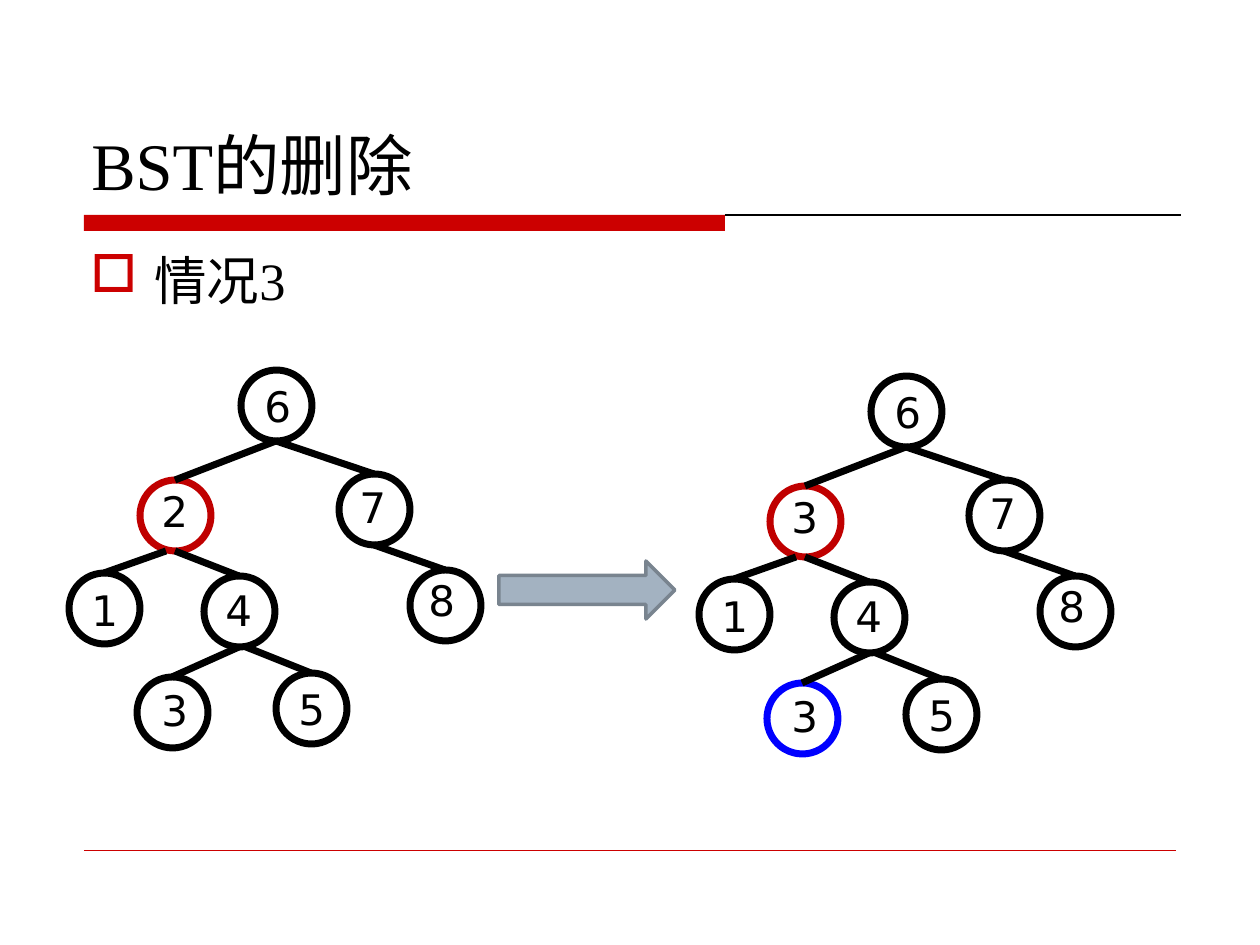
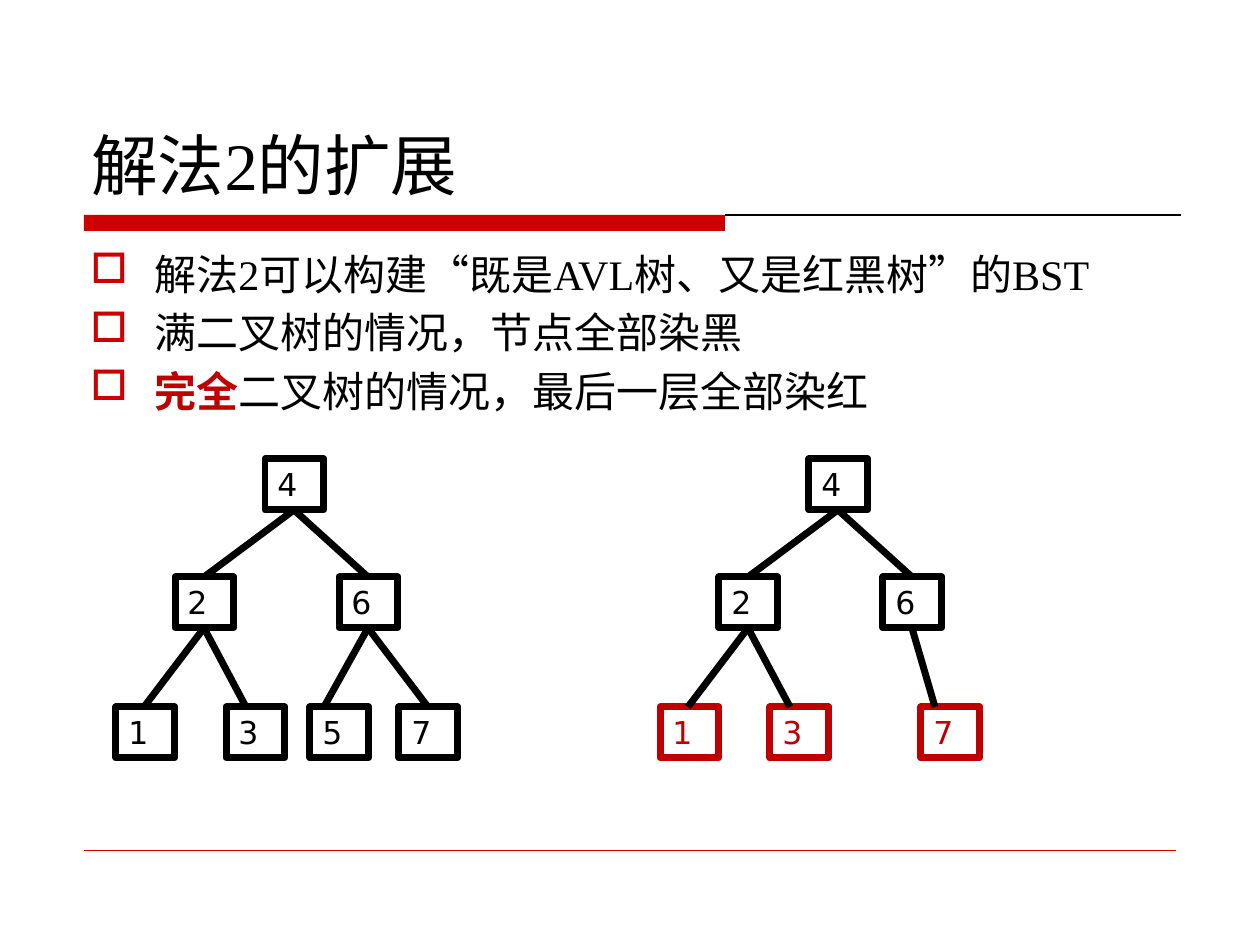
from pptx import Presentation
from pptx.dml.color import RGBColor
from pptx.enum.shapes import MSO_CONNECTOR, MSO_SHAPE
from pptx.enum.text import MSO_ANCHOR, PP_ALIGN
from pptx.oxml.ns import qn
from pptx.util import Emu, Pt
from lxml import etree

PX = 914400 // 126
BLACK = RGBColor(0x00, 0x00, 0x00)
BAND_RED = RGBColor(0xCC, 0x00, 0x00)
DARK_RED = RGBColor(0xC0, 0x00, 0x00)
BLUE = RGBColor(0x00, 0x00, 0xFF)
ARROW_FILL = RGBColor(0xA3, 0xB2, 0xC1)
ARROW_LINE = RGBColor(0x79, 0x84, 0x8F)
TEXT_FONT, NODE_FONT = "Times New Roman", "DejaVu Sans"

# Content: each bullet is a list of (text, emphasised) pieces
DELETION = {"title": "BST的删除", "size": 30, "bullets": [[("情况3", False)]]}
EXTENSION = {
    "title": "解法2的扩展",
    "size": 24,
    "bullets": [
        [("解法2可以构建“既是AVL树、又是红黑树”的BST", False)],
        [("满二叉树的情况，节点全部染黑", False)],
        [("完全", True), ("二叉树的情况，最后一层全部染红", False)],
    ],
}

# Round nodes by position in the tree: left, top, label offset x, y
CIRCLE = 71
CIRCLES = {
    "root": (241, 370, 11, 4),
    "left": (140, 480, 9, -1),
    "right": (339, 474, 8, 1),
    "left.left": (69, 573, 10, 5),
    "left.right": (204, 576, 9, 2),
    "right.right": (410, 570, 6, -2),
    "successor": (137, 677, 12, 1),
    "last": (276, 673, 10, 4),
}
# Edges: parent, child, shift of the start, shift of the end
CIRCLE_EDGES = [
    ("root", "left", 0, 0), ("root", "right", 0, 0),
    ("left", "left.left", -9, 0), ("left", "left.right", 0, 0),
    ("right", "right.right", 0, 0),
    ("left.right", "successor", 0, 0), ("left.right", "last", 7, 0),
]
KEYS_BEFORE = dict(zip(CIRCLES, "62714835"))
KEYS_AFTER = {**KEYS_BEFORE, "left": "3"}

# Square nodes: key -> left, top
BOX_WIDTH, BOX_HEIGHT = 59, 51
FULL_TREE = {"4": (265, 459), "2": (175, 577), "6": (339, 577),
             "1": (116, 707), "3": (226, 707), "5": (310, 707), "7": (399, 707)}
COMPLETE_TREE = {key: place for key, place in FULL_TREE.items() if key != "5"}
COMPLETE_TREE["7"] = (377, 707)
TOP_EDGES = [("4", "2", 0, 0), ("4", "6", 0, 0), ("2", "1", 0, -1), ("2", "3", 0, -9)]
FULL_EDGES = TOP_EDGES + [("6", "5", 0, -15), ("6", "7", 0, 0)]
COMPLETE_EDGES = TOP_EDGES + [("6", "7", 0, -15)]


def px(*lengths):
    return [Emu(length * PX) for length in lengths]


def add_line(slide, start, end, color, width):
    line = slide.shapes.add_connector(MSO_CONNECTOR.STRAIGHT, *px(*start, *end))
    line.line.color.rgb = color
    line.line.width = Pt(width)
    etree.SubElement(line._element.spPr, qn("a:effectLst"))


def add_shape(slide, kind, place, fill=None, line=None, width=0):
    shape = slide.shapes.add_shape(kind, *px(*place))
    shape.shadow.inherit = False
    if fill is None:
        shape.fill.background()
    else:
        shape.fill.solid()
        shape.fill.fore_color.rgb = fill
    if line is None:
        shape.line.fill.background()
    else:
        shape.line.color.rgb = line
        shape.line.width = Pt(width)
    return shape


def style(paragraph, font_name, size, color=BLACK):
    paragraph.alignment = PP_ALIGN.LEFT
    paragraph.font.name = font_name
    paragraph.font.size = Pt(size)
    paragraph.font.color.rgb = color


def write(shape, text, font_name, size, color=BLACK, anchor=MSO_ANCHOR.TOP):
    frame = shape.text_frame
    frame.word_wrap = True
    frame.vertical_anchor = anchor
    frame.text = text
    style(frame.paragraphs[0], font_name, size, color)


def add_square_bullet(paragraph):
    properties = paragraph._p.get_or_add_pPr()
    indent = 64 * PX
    properties.set("marL", str(indent))
    properties.set("indent", str(-indent))
    color = etree.SubElement(properties, qn("a:buClr"))
    etree.SubElement(color, qn("a:srgbClr"), val=str(BAND_RED))
    etree.SubElement(properties, qn("a:buChar"), char="□")


def add_page(presentation, content):
    slide = presentation.slides.add_slide(presentation.slide_layouts[6])
    # Title band and footer rule
    add_shape(slide, MSO_SHAPE.RECTANGLE, (84, 215, 641, 16), BAND_RED)
    add_line(slide, (725, 215), (1181, 215), BLACK, 0.75)
    add_line(slide, (84, 850), (1176, 850), BAND_RED, 0.25)
    # Title
    title = slide.shapes.add_textbox(*px(79, 42, 1102, 168))
    write(title, content["title"], TEXT_FONT, 38, anchor=MSO_ANCHOR.BOTTOM)
    # Bullets
    frame = slide.shapes.add_textbox(*px(78, 242, 1102, 588)).text_frame
    frame.word_wrap = True
    for index, pieces in enumerate(content["bullets"]):
        paragraph = frame.add_paragraph() if index else frame.paragraphs[0]
        add_square_bullet(paragraph)
        if index:
            paragraph.space_before = Pt(content["size"] * 0.2)
        style(paragraph, TEXT_FONT, content["size"])
        for text, emphasised in pieces:
            run = paragraph.add_run()
            run.text = text
            if emphasised:
                run.font.bold = True
                run.font.color.rgb = DARK_RED
    return slide


def add_edges(slide, edges, nodes, width, height, dx, dy):
    """Join the bottom middle of each parent to the top middle of its child."""
    for parent, child, start_shift, end_shift in edges:
        (x1, y1), (x2, y2) = nodes[parent][:2], nodes[child][:2]
        middle = dx + width // 2
        add_line(slide, (x1 + middle + start_shift, y1 + height + dy),
                 (x2 + middle + end_shift, y2 + dy), BLACK, 4)


def add_circle_tree(slide, keys, colors, dx=0, dy=0):
    for name, (left, top, label_x, label_y) in CIRCLES.items():
        x, y = left + dx, top + dy
        add_shape(slide, MSO_SHAPE.OVAL, (x, y, CIRCLE, CIRCLE),
                  line=colors.get(name, BLACK), width=4)
        label = slide.shapes.add_textbox(*px(x + label_x, y + label_y, 45, 63))
        write(label, keys[name], NODE_FONT, 24)
    add_edges(slide, CIRCLE_EDGES, CIRCLES, CIRCLE, CIRCLE, dx, dy)


def add_box_tree(slide, nodes, edges, red_keys="", dx=0):
    for key, (left, top) in nodes.items():
        color = DARK_RED if key in red_keys else BLACK
        box = add_shape(slide, MSO_SHAPE.RECTANGLE,
                        (left + dx, top, BOX_WIDTH, BOX_HEIGHT), line=color, width=4)
        write(box, key, NODE_FONT, 18, color)
    add_edges(slide, edges, nodes, BOX_WIDTH, BOX_HEIGHT, dx, 0)


def main():
    presentation = Presentation()
    presentation.slide_width, presentation.slide_height = px(1260, 945)

    # Deleting a node with two children
    slide = add_page(presentation, DELETION)
    add_circle_tree(slide, KEYS_BEFORE, {"left": DARK_RED})
    add_circle_tree(slide, KEYS_AFTER, {"left": DARK_RED, "successor": BLUE}, 630, 6)
    add_shape(slide, MSO_SHAPE.RIGHT_ARROW, (499, 561, 176, 58),
              ARROW_FILL, ARROW_LINE, 2)

    # Colouring full and complete trees
    slide = add_page(presentation, EXTENSION)
    add_box_tree(slide, FULL_TREE, FULL_EDGES)
    add_box_tree(slide, COMPLETE_TREE, COMPLETE_EDGES, "137", 544)

    presentation.save("out.pptx")


if __name__ == "__main__":
    main()
